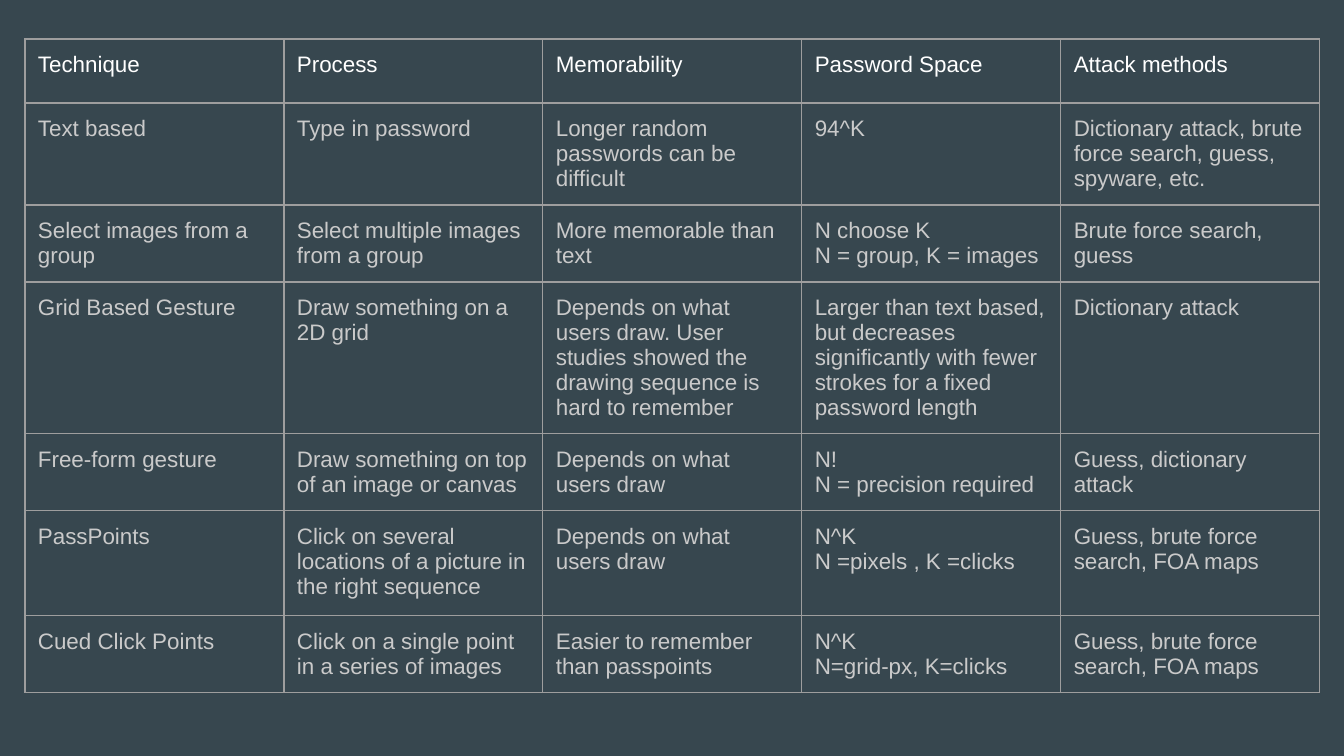
import pptx
import pptx.dml.color
import pptx.oxml.ns
import pptx.util
from lxml import etree

SCALE = 914400 / 134.4  # EMU in one px
BACK = pptx.dml.color.RGBColor(0x37, 0x47, 0x4F)
WHITE = pptx.dml.color.RGBColor(0xFF, 0xFF, 0xFF)
GREY = pptx.dml.color.RGBColor(0xCA, 0xCA, 0xCA)
PALE = pptx.dml.color.RGBColor(0xCC, 0xCC, 0xCC)
LINE = pptx.dml.color.RGBColor(0x9E, 0x9E, 0x9E)

LEFT, TOP, WIDTH, INSET = 25, 39, 259, 13
HEIGHTS = [64, 102, 77, 152, 77, 105, 77]
PALE_CELL = (5, 3)
ROWS = [
    ["Technique", "Process", "Memorability", "Password Space", "Attack methods"],
    ["Text based", "Type in password",
     "Longer random passwords can be difficult", "94^K",
     "Dictionary attack, brute force search, guess, spyware, etc."],
    ["Select images from a group", "Select multiple images from a group",
     "More memorable than text", "N choose K\nN = group, K = images",
     "Brute force search, guess"],
    ["Grid Based Gesture", "Draw something on a 2D grid",
     "Depends on what users draw. User studies showed the drawing sequence "
     "is hard to remember",
     "Larger than text based, but decreases significantly with fewer strokes "
     "for a fixed password length",
     "Dictionary attack"],
    ["Free-form gesture", "Draw something on top of an image or canvas",
     "Depends on what users draw", "N!\nN = precision required",
     "Guess, dictionary attack"],
    ["PassPoints",
     "Click on several locations of a picture in the right sequence",
     "Depends on what users draw", "N^K\nN =pixels , K =clicks",
     "Guess, brute force search, FOA maps"],
    ["Cued Click Points", "Click on a single point in a series of images",
     "Easier to remember than passpoints", "N^K\nN=grid-px, K=clicks",
     "Guess, brute force search, FOA maps"],
]


def px(count):
    return pptx.util.Emu(round(count * SCALE))


def add_borders(cell):
    props = cell._tc.get_or_add_tcPr()
    qn = pptx.oxml.ns.qn
    for side in ("a:lnL", "a:lnR", "a:lnT", "a:lnB"):
        line = etree.SubElement(props, qn(side), w=str(pptx.util.Pt(0.75)))
        fill = etree.SubElement(line, qn("a:solidFill"))
        etree.SubElement(fill, qn("a:srgbClr"), val=str(LINE))


def fill_cell(cell, text, color):
    cell.margin_left = cell.margin_right = px(INSET)
    cell.margin_top = cell.margin_bottom = px(INSET)
    add_borders(cell)
    cell.fill.background()
    frame = cell.text_frame
    for i, words in enumerate(text.split("\n")):
        para = frame.add_paragraph() if i else frame.paragraphs[0]
        run = para.add_run()
        run.text = words
        run.font.name = "Arial"
        run.font.size = pptx.util.Pt(12)
        run.font.color.rgb = color


def pick_color(row, col):
    if row == 0:
        return WHITE
    return PALE if (row, col) == PALE_CELL else GREY


def add_grid(slide):
    cols = len(ROWS[0])
    frame = slide.shapes.add_table(len(ROWS), cols, px(LEFT), px(TOP),
                                   px(cols * WIDTH), px(sum(HEIGHTS)))
    table = frame.table
    table.first_row = False
    table.horz_banding = False
    for column in table.columns:
        column.width = px(WIDTH)
    for r, (height, texts) in enumerate(zip(HEIGHTS, ROWS)):
        table.rows[r].height = px(height)
        for c, text in enumerate(texts):
            fill_cell(table.cell(r, c), text, pick_color(r, c))


def main():
    deck = pptx.Presentation()
    deck.slide_width, deck.slide_height = px(1344), px(756)
    slide = deck.slides.add_slide(deck.slide_layouts[6])
    slide.background.fill.solid()
    slide.background.fill.fore_color.rgb = BACK
    add_grid(slide)
    deck.save("out.pptx")


if __name__ == "__main__":
    main()
